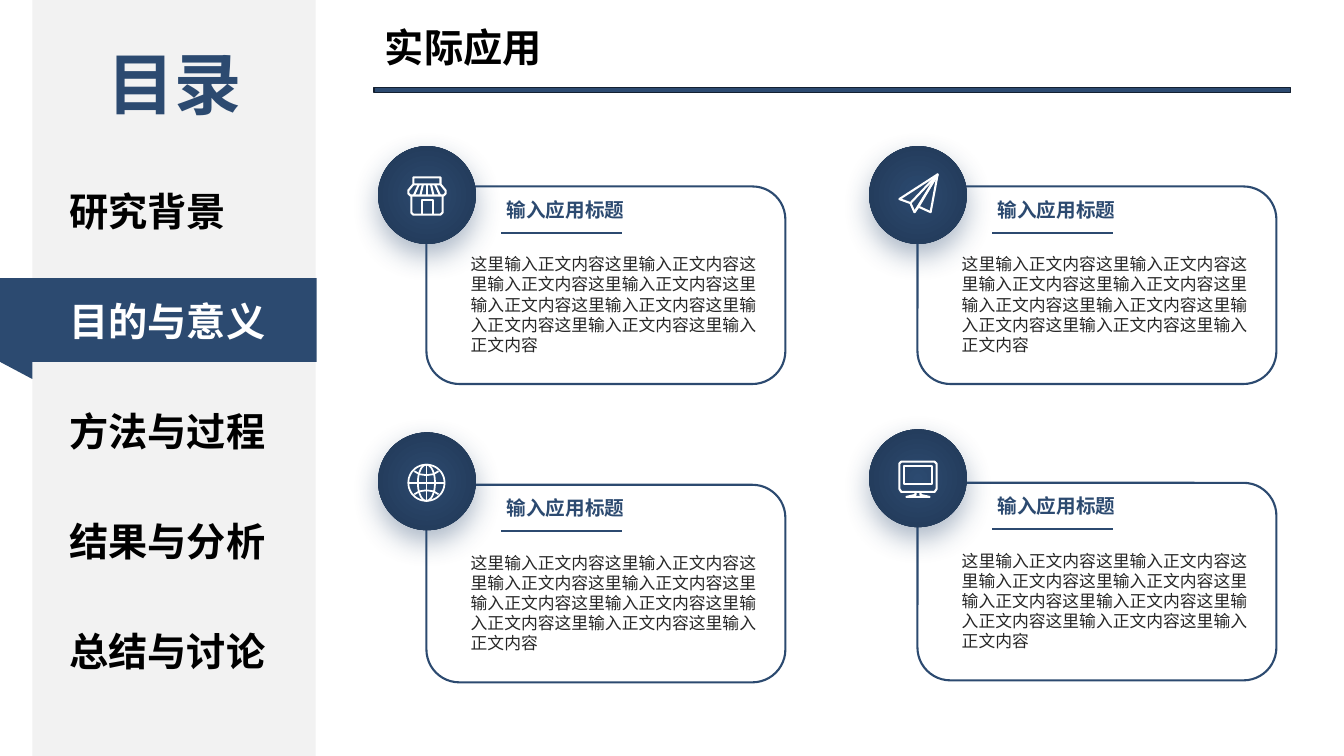
from math import cos, pi, sin

from lxml.etree import SubElement
from pptx import Presentation
from pptx.dml.color import RGBColor
from pptx.enum.shapes import MSO_CONNECTOR, MSO_SHAPE
from pptx.enum.text import PP_ALIGN
from pptx.oxml.ns import qn
from pptx.util import Inches, Pt

FONT = "Noto Sans CJK SC"
NAVY = RGBColor(0x2C, 0x4A, 0x70)
DEEP_NAVY = RGBColor(0x21, 0x37, 0x54)
EDGE = RGBColor(0x13, 0x20, 0x31)
PANEL = RGBColor(0xF2, 0xF2, 0xF2)
BODY = RGBColor(0x26, 0x26, 0x26)
BLACK = RGBColor(0, 0, 0)
WHITE = RGBColor(255, 255, 255)

# Content
CONTENTS = "目录"
CHAPTERS = ["研究背景", "目的与意义", "方法与过程", "结果与分析", "总结与讨论"]
CURRENT = 1
TITLE = "实际应用"
CARD_TITLE = "输入应用标题"
CARD_TEXT = "这里输入正文内容" * 9


def ring(radius_x, radius_y, centre=19, steps=48):
    return [(centre + radius_x * cos(2 * pi * i / steps),
             centre + radius_y * sin(2 * pi * i / steps)) for i in range(steps + 1)]


# Icon strokes, in hundredths of an inch
SHOP = [
    [(6, 9), (6, 2), (33, 2), (33, 9), (6, 9), (1, 15), (1, 18), (3, 20),
     (36, 20), (38, 18), (38, 15), (33, 9)],
    [(4, 20), (4, 37), (6, 39), (33, 39), (35, 37), (35, 20)],
    [(14.5, 39), (14.5, 24.5), (25.5, 24.5), (25.5, 39)],
] + [[(11.5 + 4 * i, 9), (6.5 + 6.5 * i, 20)] for i in range(5)]
PLANE = [
    [(39, 1), (1, 25.5), (12, 29.5), (16, 38.5), (20, 33), (32, 38.5), (39, 1)],
    [(12, 29.5), (39, 1), (16, 38.5)],
    [(39, 1), (20, 33)],
]
PARALLEL = [(7, 7.5), (12, 10.5), (19, 11.5), (26, 10.5), (31, 7.5)]
GLOBE = [
    ring(18, 18), ring(8.5, 18), [(19, 1), (19, 37)], [(1, 19), (37, 19)],
    PARALLEL, [(x, 38 - y) for x, y in PARALLEL],
]
MONITOR = [
    [(3, 1), (36, 1), (38, 3), (38, 28), (36, 31), (3, 31), (1, 28), (1, 3), (3, 1)],
    [(5.5, 5.5), (33.5, 5.5), (33.5, 23.5), (5.5, 23.5), (5.5, 5.5)],
    [(17, 31), (17, 34), (8, 36), (31, 36), (22, 34), (22, 31)],
]

# Card left and top, circle top, icon, icon top, stroke width
CARDS = [
    (4.23, 1.85, 1.45, SHOP, 1.74, 1.5),
    (9.1, 1.85, 1.45, PLANE, 1.72, 1.5),
    (4.23, 4.81, 4.29, GLOBE, 4.6, 1.25),
    (9.1, 4.79, 4.26, MONITOR, 4.57, 1.5),
]

deck = Presentation()
deck.slide_width, deck.slide_height = Inches(13.33), Inches(7.5)
page = deck.slides.add_slide(deck.slide_layouts[6])


def add_block(kind, left, top, width, height, fill=None, line=None, weight=1):
    block = page.shapes.add_shape(kind, *map(Inches, (left, top, width, height)))
    block.shadow.inherit = False
    if fill is None:
        block.fill.background()
    else:
        block.fill.solid()
        block.fill.fore_color.rgb = fill
    if line is None:
        block.line.fill.background()
    else:
        block.line.color.rgb = line
        block.line.width = Pt(weight)
    return block


def add_text(text, left, top, width, height, size, color, bold=True, align=PP_ALIGN.LEFT):
    box = page.shapes.add_textbox(*map(Inches, (left, top, width, height)))
    box.text_frame.word_wrap = True
    para = box.text_frame.paragraphs[0]
    para.text = text
    para.alignment = align
    font = para.font
    font.name, font.size, font.bold = FONT, Pt(size), bold
    font.color.rgb = color
    # East Asian typeface
    props = para._p.pPr.find(qn("a:defRPr"))
    SubElement(props, qn("a:ea"), typeface=FONT)


def add_badge(left, top):
    badge = add_block(MSO_SHAPE.OVAL, left, top, 0.97, 0.97)
    badge.fill.gradient()
    for stop, color in zip(badge.fill.gradient_stops, (NAVY, DEEP_NAVY)):
        stop.color.rgb = color
    # Radial gradient and soft shadow
    props = badge._element.spPr
    gradient = props.find(qn("a:gradFill"))
    gradient.remove(gradient.find(qn("a:lin")))
    radial = SubElement(gradient, qn("a:path"), path="circle")
    SubElement(radial, qn("a:fillToRect"), l="50000", t="50000", r="50000", b="50000")
    shadow = SubElement(props.find(qn("a:effectLst")), qn("a:outerShdw"),
                        blurRad=str(Pt(20)), dist=str(Pt(8)), dir="5400000",
                        algn="t", rotWithShape="0")
    tint = SubElement(shadow, qn("a:srgbClr"), val=str(NAVY))
    SubElement(tint, qn("a:alpha"), val="40000")


def add_icon(strokes, left, top, weight):
    strokes = [[(x * 10, y * 10) for x, y in stroke] for stroke in strokes]
    builder = page.shapes.build_freeform(*strokes[0][0], scale=Inches(1) / 1000)
    for stroke in strokes:
        builder.move_to(*stroke[0])
        builder.add_line_segments(stroke[1:], close=False)
    icon = builder.convert_to_shape(Inches(left), Inches(top))
    icon.shadow.inherit = False
    icon.fill.background()
    icon.line.color.rgb = WHITE
    icon.line.width = Pt(weight)


def add_rule(left, top, width):
    rule = page.shapes.add_connector(MSO_CONNECTOR.STRAIGHT, Inches(left), Inches(top),
                                     Inches(left + width), Inches(top))
    rule.line.color.rgb = NAVY
    rule.line.width = Pt(1.5)
    SubElement(rule._element.spPr, qn("a:effectLst"))


# Sidebar with the current chapter marked
add_block(MSO_SHAPE.RECTANGLE, 0.32, 0, 2.81, 7.5, PANEL)
add_block(MSO_SHAPE.RECTANGLE, 0, 2.76, 3.14, 0.83, NAVY)
fold = add_block(MSO_SHAPE.RIGHT_TRIANGLE, 0, 3.59, 0.32, 0.17, NAVY)
fold.rotation = 180
add_text(CONTENTS, 0.76, 0.37, 1.94, 0.91, 48, NAVY, align=PP_ALIGN.CENTER)
for index, chapter in enumerate(CHAPTERS):
    add_text(chapter, 0.59, 1.81 + 1.09 * index, 2.21, 0.57, 28,
             WHITE if index == CURRENT else BLACK)

# Page title
add_block(MSO_SHAPE.RECTANGLE, 3.71, 0.87, 9.09, 0.05, NAVY, EDGE)
add_text(TITLE, 3.72, 0.18, 4.93, 0.57, 28, BLACK)

# Application cards
for left, top, badge_top, icon, icon_top, weight in CARDS:
    add_block(MSO_SHAPE.ROUNDED_RECTANGLE, left, top, 3.56, 1.96, line=NAVY, weight=1.5)
    add_text(CARD_TEXT, left + 0.34, top + 0.62, 3.08, 1.11, 12, BODY, bold=False)
    add_badge(left - 0.48, badge_top)
    add_icon(icon, left - 0.19, icon_top, weight)
    add_rule(left + 0.74, top + 0.46, 1.2)
    add_text(CARD_TITLE, left + 0.66, top + 0.06, 1.44, 0.34, 14, NAVY,
             align=PP_ALIGN.CENTER)

deck.save("out.pptx")
